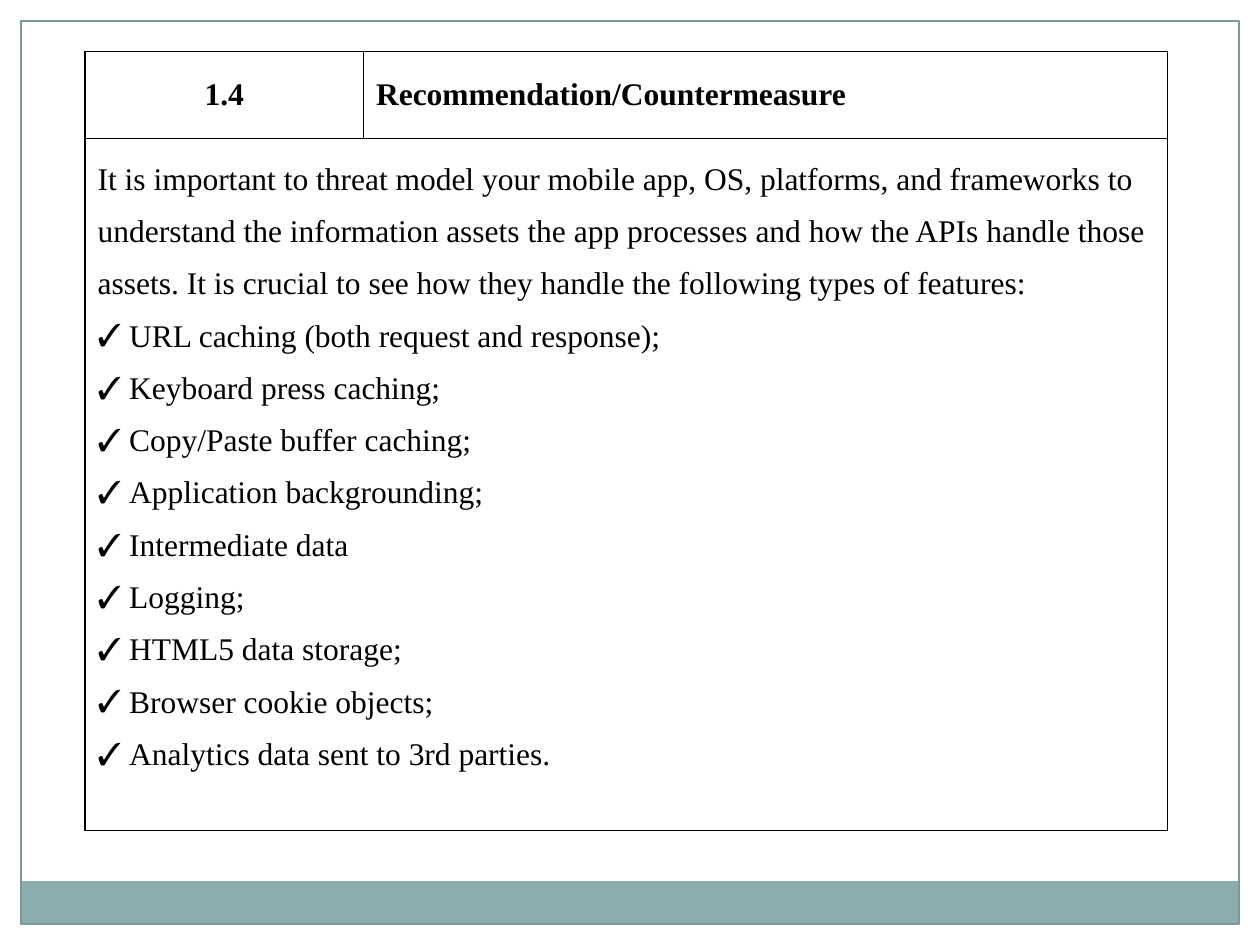
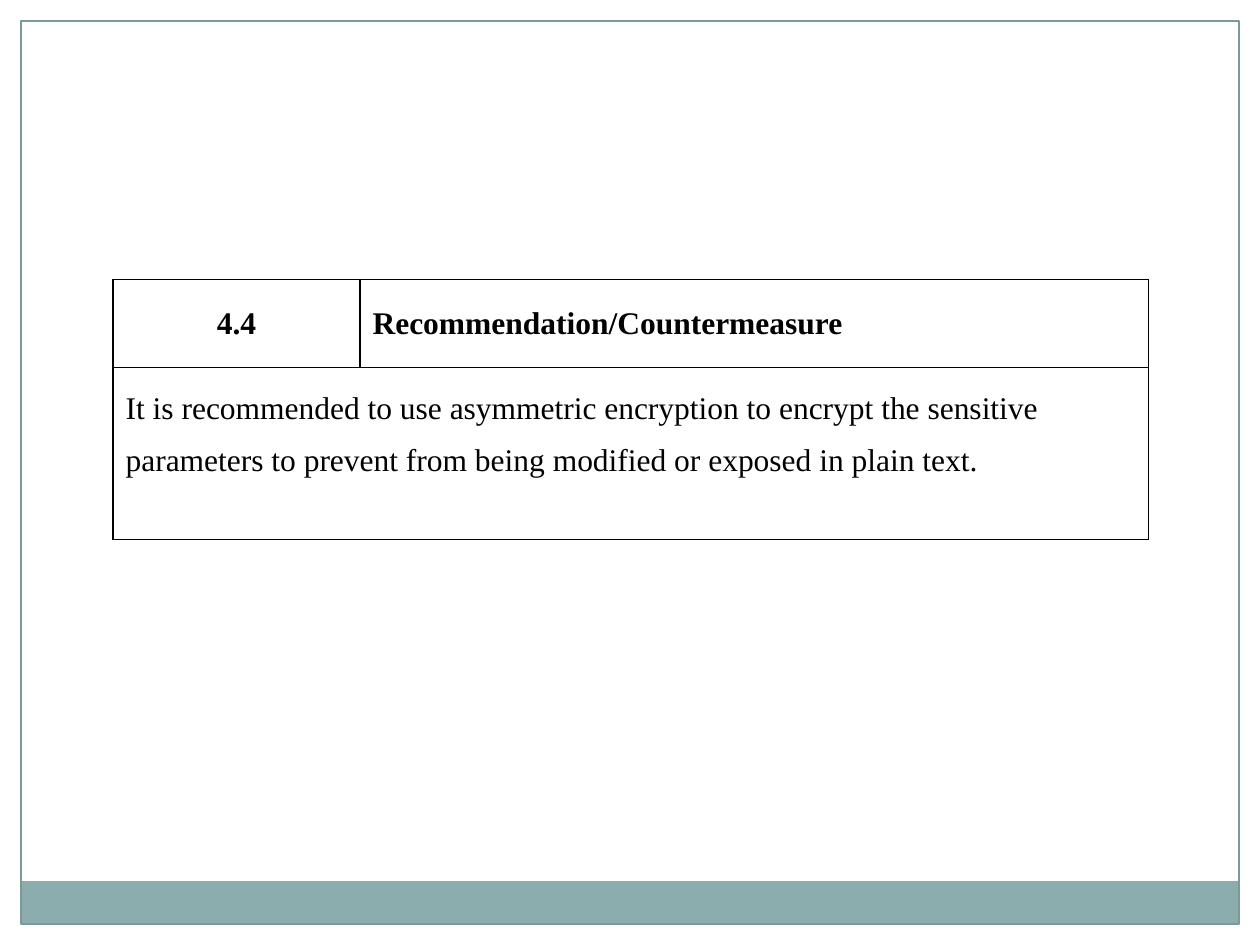
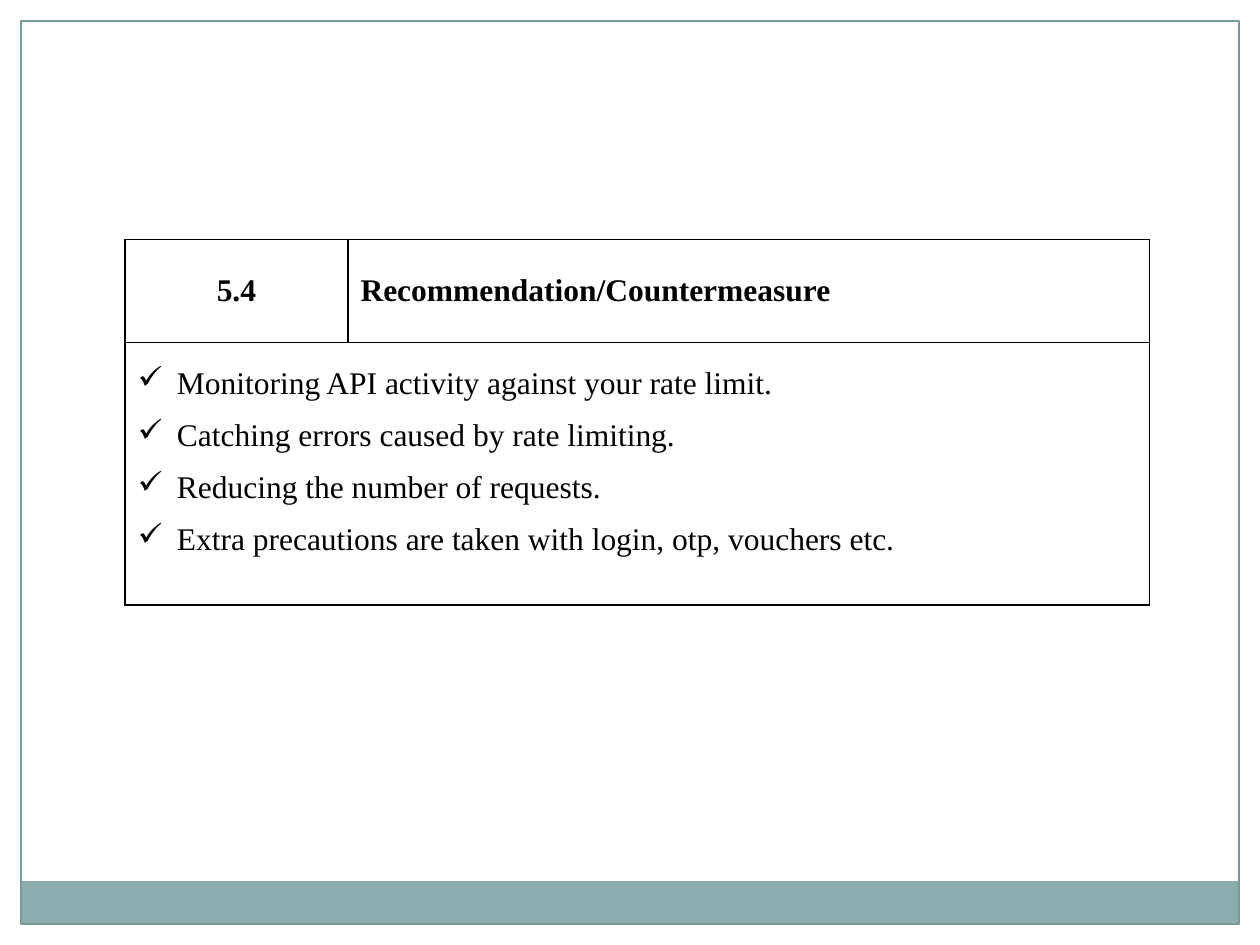
from lxml import etree
from pptx import Presentation
from pptx.dml.color import RGBColor
from pptx.enum.shapes import MSO_SHAPE
from pptx.enum.text import MSO_ANCHOR, PP_ALIGN
from pptx.oxml.ns import qn
from pptx.util import Pt

RECT = MSO_SHAPE.RECTANGLE
LEFT, CENTER = PP_ALIGN.LEFT, PP_ALIGN.CENTER
TOP, MIDDLE = MSO_ANCHOR.TOP, MSO_ANCHOR.MIDDLE

WIDE, HIGH = 720, 540
EDGE = 12
BAND = 24.5
BLANK = 6
COLORS = {
    "edge": "FFFFFF",
    "band": "8CADAE",
    "frame": "7C999A",
    "ink": "000000",
}
FONT = {"name": "Times New Roman", "size": Pt(18)}
HEAD = "Recommendation/Countermeasure"

SLIDES = [
    {
        "number": "1.4",
        "place": (48.6, 29.4),
        "cols": (159.12, 459.36),
        "rows": (49.7, 395.5),
        "intro": [
            "It is important to threat model your mobile app, OS, platforms, "
            "and frameworks to understand the information assets the app "
            "processes and how the APIs handle those assets. It is crucial "
            "to see how they handle the following types of features:"
        ],
        "checks": [
            "URL caching (both request and response);",
            "Keyboard press caching;",
            "Copy/Paste buffer caching;",
            "Application backgrounding;",
            "Intermediate data",
            "Logging;",
            "HTML5 data storage;",
            "Browser cookie objects;",
            "Analytics data sent to 3rd parties.",
        ],
        "bullet": (FONT["name"], "✓", 18),
    },
    {
        "number": "4.4",
        "place": (64.6, 159.84),
        "cols": (141.12, 450.72),
        "rows": (50.2, 98.4),
        "intro": [
            "It is recommended to use asymmetric encryption to encrypt the "
            "sensitive parameters to prevent from being modified or exposed "
            "in plain text."
        ],
        "checks": [],
        "bullet": None,
    },
    {
        "number": "5.4",
        "place": (71.4, 136.8),
        "cols": (127.44, 457.92),
        "rows": (58.8, 150.1),
        "intro": [],
        "checks": [
            "Monitoring API activity against your rate limit.",
            "Catching errors caused by rate limiting.",
            "Reducing the number of requests.",
            "Extra precautions are taken with login, otp, vouchers etc.",
        ],
        "bullet": ("Wingdings", "ü", 22.5),
    },
]


def tint(name):
    return RGBColor.from_string(COLORS[name])


def apply(item, values):
    for key, value in values.items():
        setattr(item, key, value)


def add_box(slide, box, fill=None, line=None):
    shape = slide.shapes.add_shape(RECT, *map(Pt, box))
    shape.shadow.inherit = False
    if fill:
        shape.fill.solid()
        shape.fill.fore_color.rgb = tint(fill)
    else:
        shape.fill.background()
    if line:
        shape.line.color.rgb = tint(line)
        shape.line.width = Pt(0.75)
    else:
        shape.line.fill.background()


def add_frame(slide):
    span = WIDE - 2 * EDGE
    add_box(slide, (0, 0, WIDE, EDGE), fill="edge")
    for left in (WIDE - EDGE, 0):
        add_box(slide, (left, 0, EDGE, HIGH), fill="edge")
    add_box(slide, (EDGE, HIGH - EDGE - BAND, span, BAND), fill="band")
    add_box(slide, (EDGE, EDGE, span, HIGH - 2 * EDGE), line="frame")


def add_check(para, font, mark, indent):
    props = para._p.get_or_add_pPr()
    props.set("marL", str(Pt(indent)))
    props.set("indent", str(-Pt(indent)))
    etree.SubElement(props, qn("a:buFont"), typeface=font)
    etree.SubElement(props, qn("a:buChar"), char=mark)


def add_text(para, text, bold=False, **style):
    apply(para, style)
    run = para.add_run()
    run.text = text
    apply(run.font, {**FONT, "bold": bold})
    run.font.color.rgb = tint("ink")


def add_rules(cell):
    props = cell._tc.get_or_add_tcPr()
    for side in "LRTB":
        line = etree.SubElement(props, qn(f"a:ln{side}"), w=str(Pt(1)))
        fill = etree.SubElement(line, qn("a:solidFill"))
        etree.SubElement(fill, qn("a:srgbClr"), val=COLORS["ink"])
    cell.fill.background()


def fill_body(cell, data):
    lines = [(text, False) for text in data["intro"]]
    lines += [(text, True) for text in data["checks"]]
    frame = cell.text_frame
    for index, (text, check) in enumerate(lines):
        para = frame.add_paragraph() if index else frame.paragraphs[0]
        para.line_spacing = 1.5
        if check:
            add_check(para, *data["bullet"])
        add_text(para, text)


def add_grid(slide, data):
    cols, rows = data["cols"], data["rows"]
    box = (*data["place"], sum(cols), sum(rows))
    table = slide.shapes.add_table(len(rows), len(cols), *map(Pt, box)).table
    apply(table, {"first_row": False, "horz_banding": False})
    for col, width in zip(table.columns, cols):
        col.width = Pt(width)
    for row, height in zip(table.rows, rows):
        row.height = Pt(height)
    for cell in table.iter_cells():
        add_rules(cell)
    heads = ((data["number"], CENTER), (HEAD, LEFT))
    for index, (text, align) in enumerate(heads):
        cell = table.cell(0, index)
        cell.vertical_anchor = MIDDLE
        add_text(cell.text_frame.paragraphs[0], text, True, alignment=align)
    body = table.cell(1, 0)
    body.merge(table.cell(1, 1))
    body.vertical_anchor = TOP
    fill_body(body, data)


def main():
    deck = Presentation()
    apply(deck, {"slide_width": Pt(WIDE), "slide_height": Pt(HIGH)})
    for data in SLIDES:
        slide = deck.slides.add_slide(deck.slide_layouts[BLANK])
        add_frame(slide)
        add_grid(slide, data)
    deck.save("out.pptx")


if __name__ == "__main__":
    main()
